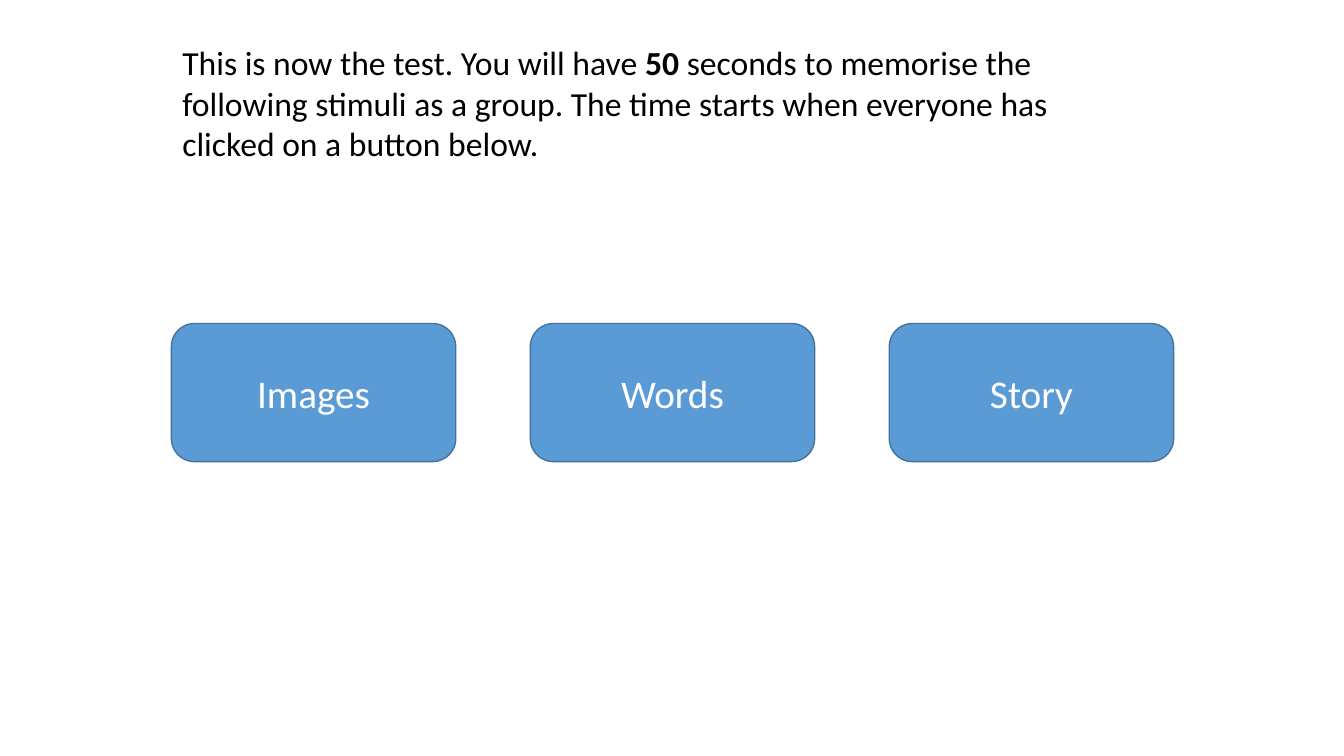
from pptx import Presentation
from pptx.dml.color import RGBColor
from pptx.enum.shapes import MSO_SHAPE
from pptx.enum.text import MSO_ANCHOR, PP_ALIGN
from pptx.util import Inches, Pt

INSTRUCTIONS = [
    ("This is now the test. You will have ", False),
    ("50 ", True),
    ("seconds to memorise the following stimuli as a group. "
     "The time starts when everyone has clicked on a button below.", False),
]
BUTTONS = ["Images", "Words", "Story"]

FONT = "Calibri"
BLACK = RGBColor(0x00, 0x00, 0x00)
WHITE = RGBColor(0xFF, 0xFF, 0xFF)
BLUE = RGBColor(0x5B, 0x9B, 0xD5)
DARK_BLUE = RGBColor(0x43, 0x73, 0x9E)
ROUNDED = MSO_SHAPE.ROUNDED_RECTANGLE
MIDDLE = MSO_ANCHOR.MIDDLE
CENTER = PP_ALIGN.CENTER

BUTTON_LEFT, BUTTON_TOP = 1.7, 3.21
BUTTON_W, BUTTON_H = 2.82, 1.37
BUTTON_STEP = 3.56


def format_run(r, size, color, bold=False):
    r.font.name = FONT
    r.font.size = Pt(size)
    r.font.bold = bold
    r.font.color.rgb = color


def add_button(slide, label, left):
    sp = slide.shapes.add_shape(ROUNDED, Inches(left), Inches(BUTTON_TOP),
                                Inches(BUTTON_W), Inches(BUTTON_H))
    sp.shadow.inherit = False
    sp.fill.solid()
    sp.fill.fore_color.rgb = BLUE
    sp.line.color.rgb = DARK_BLUE
    sp.line.width = Pt(1)
    tf = sp.text_frame
    tf.text = label
    tf.vertical_anchor = MIDDLE
    p = tf.paragraphs[0]
    p.alignment = CENTER
    format_run(p.runs[0], 28, WHITE)


def add_instructions(slide):
    box = slide.shapes.add_textbox(Inches(1.71), Inches(0.37),
                                   Inches(9.45), Inches(1.31))
    tf = box.text_frame
    tf.word_wrap = True
    p = tf.paragraphs[0]
    for text, bold in INSTRUCTIONS:
        r = p.add_run()
        r.text = text
        format_run(r, 24, BLACK, bold)


def main():
    prs = Presentation()
    prs.slide_width = Inches(13.33)
    prs.slide_height = Inches(7.5)
    slide = prs.slides.add_slide(prs.slide_layouts[6])
    for i, label in enumerate(BUTTONS):
        add_button(slide, label, BUTTON_LEFT + i * BUTTON_STEP)
    add_instructions(slide)
    prs.save("out.pptx")


if __name__ == "__main__":
    main()
